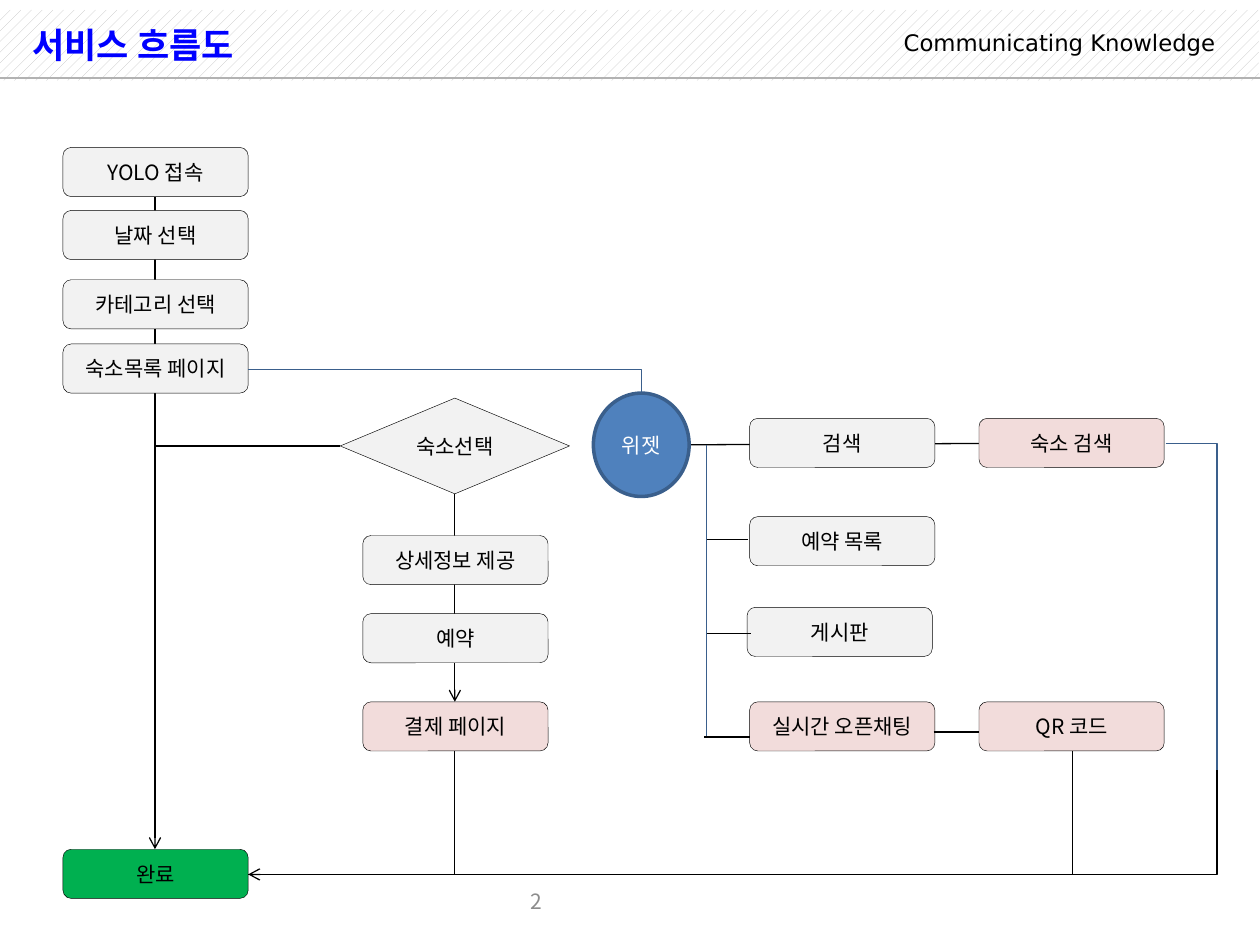
"""Build the service flow chart slide."""
from lxml import etree
from pptx import Presentation
from pptx.dml.color import RGBColor
from pptx.enum import dml, shapes, text
from pptx.oxml import ns
from pptx.util import Inches, Pt

BLACK = RGBColor(0x00, 0x00, 0x00)
WHITE = RGBColor(0xFF, 0xFF, 0xFF)
BLUE = RGBColor(0x00, 0x00, 0xFF)
GRAY = RGBColor(0x8C, 0x8C, 0x8C)
SILVER = RGBColor(0xC0, 0xC0, 0xC0)
RULE = RGBColor(0xB2, 0xB2, 0xB2)
LIGHT = RGBColor(0xF2, 0xF2, 0xF2)
PINK = RGBColor(0xF2, 0xDC, 0xDB)
GREEN = RGBColor(0x00, 0xB0, 0x50)
STEEL = RGBColor(0x4F, 0x81, 0xBD)
NAVY = RGBColor(0x3A, 0x5F, 0x8C)
KOREAN = "Noto Sans CJK KR"
ALIGN = text.PP_ALIGN
ANCHOR = text.MSO_ANCHOR
SHAPE = shapes.MSO_SHAPE


def write(sp, words, size=12, color=BLACK, font=KOREAN, bold=False,
          align=ALIGN.CENTER, anchor=ANCHOR.MIDDLE, spacing=None):
    """Put one formatted paragraph into a shape."""
    tf = sp.text_frame
    tf.word_wrap = True
    tf.vertical_anchor = anchor
    p = tf.paragraphs[0]
    p.alignment = align
    p.line_spacing = spacing
    r = p.add_run()
    r.text = words
    r.font.size = Pt(size)
    r.font.bold = bold
    r.font.name = font
    r.font.color.rgb = color
    ea = etree.SubElement(r.font._element, ns.qn("a:ea"))
    ea.set("typeface", font)


def link(x1, y1, x2, y2, color=BLACK, arrow=False, bend=None):
    """Draw a connector, straight or with one bend ("down" or "across" first)."""
    kind = shapes.MSO_CONNECTOR.ELBOW if bend else shapes.MSO_CONNECTOR.STRAIGHT
    if bend == "down":
        cx, cy = (x1 + x2) / 2, (y1 + y2) / 2
        w, h = abs(y2 - y1), abs(x2 - x1)
        x1, y1, x2, y2 = cx - w / 2, cy - h / 2, cx + w / 2, cy + h / 2
    c = s.shapes.add_connector(kind, Inches(x1), Inches(y1), Inches(x2), Inches(y2))
    c.line.color.rgb = color
    c.line.width = Pt(0.75)
    pr = c._element.spPr
    if bend:
        pr.find(ns.qn("a:prstGeom")).set("prst", "bentConnector2")
    if bend == "down":
        pr.find(ns.qn("a:xfrm")).set("rot", "5400000")
    if arrow:
        etree.SubElement(pr.find(ns.qn("a:ln")), ns.qn("a:tailEnd")).set("type", "arrow")
    etree.SubElement(pr, ns.qn("a:effectLst"))


prs = Presentation()
prs.slide_width, prs.slide_height = Inches(10), Inches(7.5)
s = prs.slides.add_slide(prs.slide_layouts[6])

band = s.shapes.add_shape(SHAPE.RECTANGLE, Inches(0), Inches(0.08), Inches(9.99), Inches(0.56))
band.shadow.inherit = False
band.fill.patterned()
band.fill.pattern = dml.MSO_PATTERN.PERCENT_20
band.fill.fore_color.rgb = SILVER
band.fill.back_color.rgb = WHITE
band.line.fill.background()
link(0, 0.62, 10, 0.62, RULE)

labels = [
    ("Communicating Knowledge", 7.03, 0.22, 2.71, 0.28,
     dict(size=13, font="DejaVu Sans", align=ALIGN.RIGHT, anchor=ANCHOR.TOP, spacing=0.8)),
    ("서비스 흐름도", 0.16, 0.08, 6.95, 0.55,
     dict(size=20, color=BLUE, bold=True, align=ALIGN.LEFT)),
    ("2", -0.59, 6.95, 9.69, 0.4, dict(color=GRAY)),
]
for words, x, y, w, h, style in labels:
    write(s.shapes.add_textbox(Inches(x), Inches(y), Inches(w), Inches(h)), words, **style)

link(5.47, 3.53, 7.77, 3.52)
link(3.61, 3.92, 3.61, 5.57, arrow=True)
link(1.23, 1.56, 1.23, 6.74, arrow=True)

BOX_W, BOX_H = 1.47, 0.39
COL1, COL2, COL3, COL4 = 0.5, 2.88, 5.95, 7.77
boxes = [
    ("YOLO 접속", COL1, 1.17, LIGHT),
    ("날짜 선택", COL1, 1.67, LIGHT),
    ("카테고리 선택", COL1, 2.22, LIGHT),
    ("숙소목록 페이지", COL1, 2.73, LIGHT),
    ("완료", COL1, 6.74, GREEN),
    ("상세정보 제공", COL2, 4.25, LIGHT),
    ("예약", COL2, 4.87, LIGHT),
    ("결제 페이지", COL2, 5.57, PINK),
    ("검색", COL3, 3.32, LIGHT),
    ("예약 목록", COL3, 4.1, LIGHT),
    ("게시판", 5.93, 4.82, LIGHT),
    ("실시간 오픈채팅", COL3, 5.57, PINK),
    ("숙소 검색", COL4, 3.32, PINK),
    ("QR 코드", COL4, 5.57, PINK),
]
nodes = [(SHAPE.ROUNDED_RECTANGLE, words, x, y, BOX_W, BOX_H, fill, BLACK, 0.25, BLACK)
         for words, x, y, fill in boxes]
nodes += [
    (SHAPE.FLOWCHART_DECISION, "숙소선택", 2.7, 3.16, 1.82, 0.76, LIGHT, BLACK, 0.25, BLACK),
    (SHAPE.OVAL, "위젯", 4.71, 3.12, 0.76, 0.82, STEEL, NAVY, 2, WHITE),
]
for kind, words, x, y, w, h, fill, edge, width, color in nodes:
    sp = s.shapes.add_shape(kind, Inches(x), Inches(y), Inches(w), Inches(h))
    sp.shadow.inherit = False
    sp.fill.solid()
    sp.fill.fore_color.rgb = fill
    sp.line.color.rgb = edge
    sp.line.width = Pt(width)
    write(sp, words, color=color)

link(1.23, 3.54, 2.7, 3.54)
link(7.41, 5.81, 7.77, 5.81)
link(5.61, 3.53, 5.61, 5.85, NAVY)
for x1, x2, y in [(5.61, 5.94, 4.28), (5.61, 5.96, 5.03), (5.59, 5.95, 5.85)]:
    link(x1, y, x2, y)
for x1, x2, arrow in [(3.61, 1.97, True), (8.51, 1.97, False), (9.66, 3.12, False)]:
    link(x1, 5.96, x2, 6.94, arrow=arrow, bend="down")
link(1.97, 2.93, 5.09, 3.12, NAVY, bend="across")
link(9.25, 3.52, 9.66, 6.11, NAVY, bend="across")

prs.save("out.pptx")
